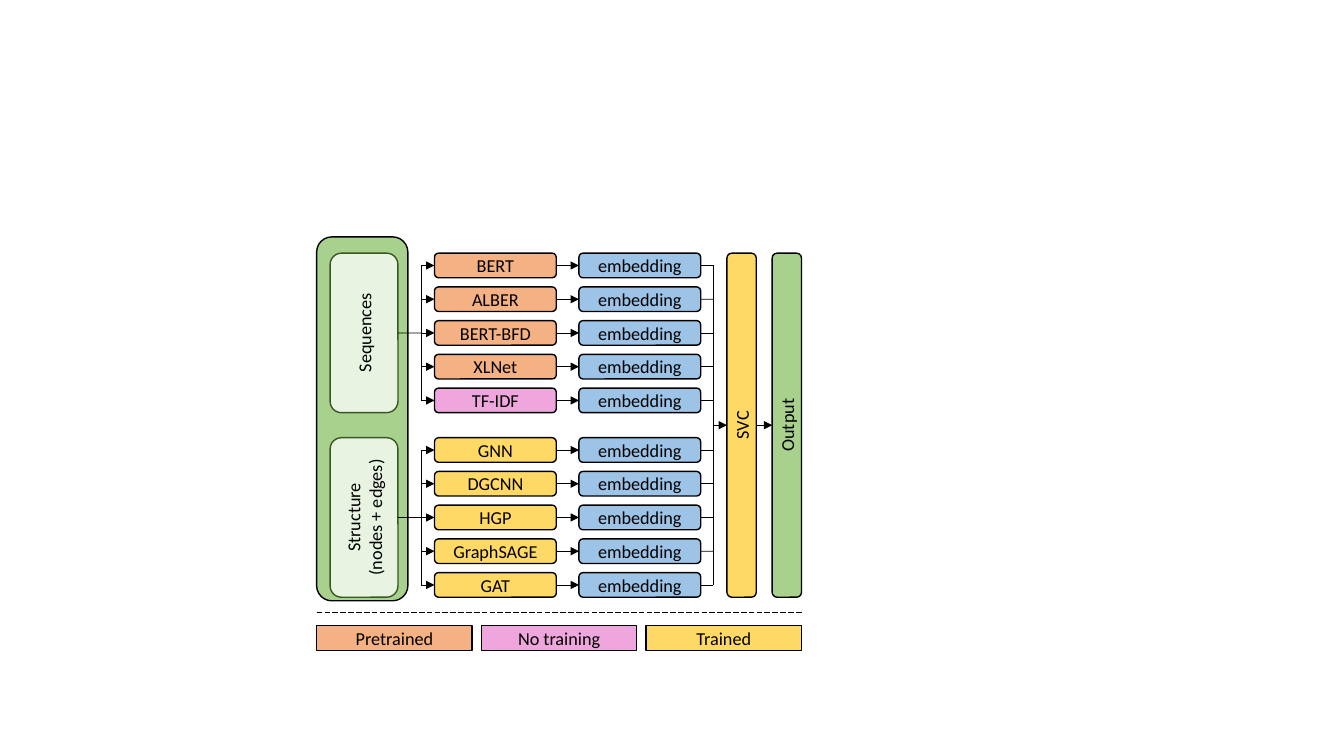
"""Draw a slide of sequence and structure encoders feeding a classifier."""
from lxml import etree
from pptx import Presentation
from pptx.dml.color import RGBColor
from pptx.enum.dml import MSO_LINE
from pptx.enum.shapes import MSO_CONNECTOR, MSO_SHAPE
from pptx.enum.text import MSO_ANCHOR, PP_ALIGN
from pptx.oxml.ns import qn
from pptx.util import Cm, Pt

COLORS = {
    "black": "000000",
    "white": "FFFFFF",
    "green": "A9D18E",
    "dark_green": "385723",
    "orange": "F4B183",
    "pink": "EEA6DC",
    "yellow": "FFD966",
    "blue": "9DC3E6",
}

prs = Presentation()
prs.slide_width, prs.slide_height = Cm(33.87), Cm(19.05)
s = prs.slides.add_slide(prs.slide_layouts[6])


def add_box(x, y, w, h, fill, lines=(), kind=MSO_SHAPE.ROUNDED_RECTANGLE,
            border="black", vertical=False):
    sp = s.shapes.add_shape(kind, Cm(x), Cm(y), Cm(w), Cm(h))
    sp.shadow.inherit = False
    sp.fill.solid()
    sp.fill.fore_color.rgb = RGBColor.from_string(COLORS[fill])
    sp.line.color.rgb = RGBColor.from_string(COLORS[border])
    sp.line.width = Pt(1)
    tf = sp.text_frame
    tf.margin_left = tf.margin_right = tf.margin_top = tf.margin_bottom = 0
    tf.vertical_anchor = MSO_ANCHOR.MIDDLE
    tf.word_wrap = True
    if vertical:
        tf._txBody.bodyPr.set("vert", "vert270")
    for i, text in enumerate(lines):
        p = tf.add_paragraph() if i else tf.paragraphs[0]
        p.alignment = PP_ALIGN.CENTER
        r = p.add_run()
        r.text = text
        r.font.size = Pt(13)
        r.font.name = "Calibri"
        r.font.color.rgb = RGBColor.from_string(COLORS["black"])
    return sp


def add_line(x1, y1, x2, y2, arrow=False, start=None, end=None):
    cx = s.shapes.add_connector(MSO_CONNECTOR.STRAIGHT, Cm(x1), Cm(y1), Cm(x2), Cm(y2))
    if start is not None:
        cx.begin_connect(start, 3)
    if end is not None:
        cx.end_connect(end, 1)
    cx.line.color.rgb = RGBColor.from_string(COLORS["black"])
    cx.line.width = Pt(0.5)
    if arrow:
        etree.SubElement(cx.line._get_or_add_ln(), qn("a:tailEnd"), type="triangle")
    etree.SubElement(cx._element.spPr, qn("a:effectLst"))
    return cx


left, right = 7.98, 20.2
row_h, pitch = 0.62, 0.85
input_x, input_w = 8.32, 1.71
model_x, embed_x, row_w = 10.95, 14.59, 3.07
trunk_x, bus_x = 10.62, 17.98
svc_x, output_x, bar_w = 18.32, 19.46, 0.74
group_h = 4 * pitch + row_h

groups = [
    (6.38, ["Sequences"], [
        ("BERT", "orange"), ("ALBER", "orange"), ("BERT-BFD", "orange"),
        ("XLNet", "orange"), ("TF-IDF", "pink")]),
    (11.03, ["Structure", "(nodes + edges)"], [
        ("GNN", "yellow"), ("DGCNN", "yellow"), ("HGP", "yellow"),
        ("GraphSAGE", "yellow"), ("GAT", "yellow")]),
]
top = groups[0][0]
bottom = groups[-1][0] + group_h
middle = (top + bottom) / 2

add_box(left, 5.97, 2.3, 9.17, "green")
for group_y, label, models in groups:
    source = add_box(input_x, group_y, input_w, group_h, "white", label,
                     border="dark_green", vertical=True)
    color = source.fill._xPr.find(qn("a:solidFill"))[0]
    etree.SubElement(color, qn("a:alpha"), val="74000")
    group_mid = group_y + group_h / 2
    add_line(input_x + input_w, group_mid, trunk_x, group_mid, start=source)
    add_line(trunk_x, group_y + row_h / 2, trunk_x, group_y + group_h - row_h / 2)
    for i, (name, fill) in enumerate(models):
        y = group_y + i * pitch
        mid = y + row_h / 2
        model = add_box(model_x, y, row_w, row_h, fill, [name])
        embed = add_box(embed_x, y, row_w, row_h, "blue", ["embedding"])
        add_line(trunk_x, mid, model_x, mid, arrow=True, end=model)
        add_line(model_x + row_w, mid, embed_x, mid, arrow=True, start=model, end=embed)
        add_line(embed_x + row_w, mid, bus_x, mid, start=embed)

svc = add_box(svc_x, top, bar_w, bottom - top, "yellow", ["SVC"], vertical=True)
output = add_box(output_x, top, bar_w, bottom - top, "green", ["Output"], vertical=True)
add_line(bus_x, top + row_h / 2, bus_x, bottom - row_h / 2)
add_line(bus_x, middle, svc_x, middle, arrow=True, end=svc)
add_line(svc_x + bar_w, middle, output_x, middle, arrow=True, start=svc, end=output)

divider = add_line(left, 15.44, right, 15.44)
divider.line.dash_style = MSO_LINE.LONG_DASH
legend = [("Pretrained", "orange"), ("No training", "pink"), ("Trained", "yellow")]
for i, (name, fill) in enumerate(legend):
    add_box(left + i * 4.15, 15.77, 3.92, row_h, fill, [name], kind=MSO_SHAPE.RECTANGLE)

prs.save("out.pptx")
